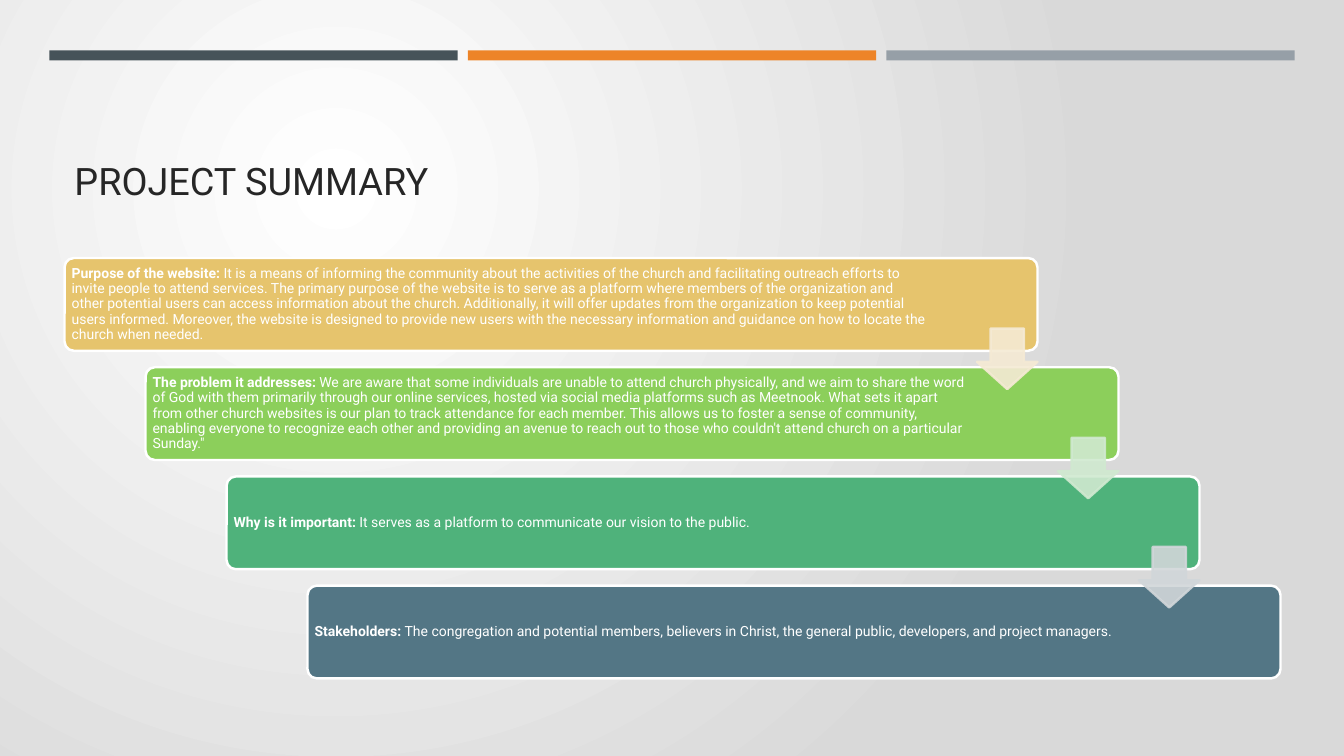
from lxml import etree
from pptx import Presentation
from pptx import util as u
from pptx.dml.color import RGBColor
from pptx.enum import shapes, text
from pptx.oxml import ns

FONT = "Roboto"
SLIDE_W, SLIDE_H = 13.33, 7.5

# Staircase: the panels spread evenly between the left/top and right/bottom edges
LEFT, TOP, RIGHT, BOTTOM = 0.64, 2.56, 12.7, 6.73
PANEL_W, PANEL_H = 9.65, 0.92
ARROW = 0.6
ARROW_DROP = 0.7

# Three bars across the top
BAR_LEFT, BAR_TOP, BAR_W, BAR_H, BAR_STEP = 0.49, 0.5, 4.05, 0.1, 4.15
BAR_COLORS = ["465359", "ED8428", "969FA7"]

# Heading, body, panel colour, text width, colour of the arrow to the next step
STEPS = [
    ("Purpose of the website: ",
     "It is a means of informing the community about the activities of the church and "
     "facilitating outreach efforts to invite people to attend services. The primary purpose "
     "of the website is to serve as a platform where members of the organization and other "
     "potential users can access information about the church. Additionally, it will offer "
     "updates from the organization to keep potential users informed. Moreover, the website is "
     "designed to provide new users with the necessary information and guidance on how to "
     "locate the church when needed.",
     "E6C46D", 8.58, "F5EAD4"),
    ("The problem it addresses: ",
     "We are aware that some individuals are unable to attend church physically, and we aim to "
     "share the word of God with them primarily through our online services, hosted via social "
     "media platforms such as Meetnook. What sets it apart from other church websites is our "
     "plan to track attendance for each member. This allows us to foster a sense of community, "
     "enabling everyone to recognize each other and providing an avenue to reach out to those "
     "who couldn't attend church on a particular Sunday.\"",
     "8CCF5B", 8.19, "D0E9D0"),
    ("Why is it important: ",
     "It serves as a platform to communicate our vision to the public.",
     "4FB27B", 8.19, "D1D6D9"),
    ("Stakeholders: ",
     "The congregation and potential members, believers in Christ, the general public, "
     "developers, and project managers.",
     "537685", 8.19, None),
]


def rgb(hex_color):
    return RGBColor.from_string(hex_color)


def add_background(slide):
    """Radial gradient, brightest in the upper left."""
    fill = slide.background.fill
    fill.gradient()
    for stop, color in zip(fill.gradient_stops, ["FFFFFF", "D9D9D9"]):
        stop.color.rgb = rgb(color)
    gradient = slide.element.find(".//" + ns.qn("a:gradFill"))
    gradient.remove(gradient.find(ns.qn("a:lin")))
    circle = etree.SubElement(gradient, ns.qn("a:path"), path="circle")
    etree.SubElement(circle, ns.qn("a:fillToRect"),
                     l="50000", t="50000", r="100000", b="100000")


def add_block(slide, kind, left, top, width, height, color, line=None, adjust=()):
    block = slide.shapes.add_shape(
        kind, u.Inches(left), u.Inches(top), u.Inches(width), u.Inches(height))
    block.shadow.inherit = False
    block.fill.solid()
    block.fill.fore_color.rgb = rgb(color)
    if line:
        block.line.color.rgb = rgb(line)
        block.line.width = u.Pt(1.75)
    else:
        block.line.fill.background()
    for i, value in enumerate(adjust):
        block.adjustments[i] = value
    return block


def add_text(slide, left, top, width, height, runs, size, color, anchor, inset):
    """One paragraph made of (words, bold) runs."""
    box = slide.shapes.add_textbox(
        u.Inches(left), u.Inches(top), u.Inches(width), u.Inches(height))
    frame = box.text_frame
    frame.word_wrap = True
    frame.vertical_anchor = anchor
    frame.margin_left = frame.margin_right = u.Inches(inset)
    frame.margin_top = frame.margin_bottom = u.Inches(min(inset, 0.05))
    paragraph = frame.paragraphs[0]
    paragraph.line_spacing = 0.9
    for words, bold in runs:
        run = paragraph.add_run()
        run.text = words
        run.font.name = FONT
        run.font.size = u.Pt(size)
        run.font.bold = bold
        run.font.color.rgb = rgb(color)


def add_panel(slide, left, top, heading, body, color, text_w):
    add_block(slide, shapes.MSO_SHAPE.ROUNDED_RECTANGLE, left, top,
              PANEL_W, PANEL_H, color, "FFFFFF", [0.1])
    add_text(slide, left + 0.03, top + 0.03, text_w, PANEL_H - 0.06,
             [(heading, True), (body, False)], 10, "FFFFFF",
             text.MSO_ANCHOR.MIDDLE, 0.04)


def add_arrow(slide, left, top, color):
    arrow = add_block(slide, shapes.MSO_SHAPE.DOWN_ARROW, left, top,
                      ARROW, ARROW, color, color, [0.55, 0.45])
    # Slight transparency on fill and outline
    properties = arrow.element.find(ns.qn("p:spPr"))
    for tint in properties.iter(ns.qn("a:srgbClr")):
        etree.SubElement(tint, ns.qn("a:alpha"), val="90000")


def main():
    deck = Presentation()
    deck.slide_width, deck.slide_height = u.Inches(SLIDE_W), u.Inches(SLIDE_H)
    slide = deck.slides.add_slide(deck.slide_layouts[6])
    add_background(slide)

    # Top bars and title
    for i, color in enumerate(BAR_COLORS):
        add_block(slide, shapes.MSO_SHAPE.RECTANGLE, BAR_LEFT + i * BAR_STEP,
                  BAR_TOP, BAR_W, BAR_H, color)
    add_text(slide, LEFT, 0.77, RIGHT - LEFT, 1.3, [("PROJECT SUMMARY", False)],
             27, "262626", text.MSO_ANCHOR.BOTTOM, 0.1)

    # Panels first, so that the arrows lie over them
    gaps = len(STEPS) - 1
    step_x = (RIGHT - LEFT - PANEL_W) / gaps
    step_y = (BOTTOM - TOP - PANEL_H) / gaps
    corners = [(LEFT + i * step_x, TOP + i * step_y) for i in range(len(STEPS))]
    for (left, top), (heading, body, color, text_w, _) in zip(corners, STEPS):
        add_panel(slide, left, top, heading, body, color, text_w)
    for (left, top), step in zip(corners[:-1], STEPS):
        add_arrow(slide, left + PANEL_W - ARROW, top + ARROW_DROP, step[-1])

    deck.save("out.pptx")


if __name__ == "__main__":
    main()
